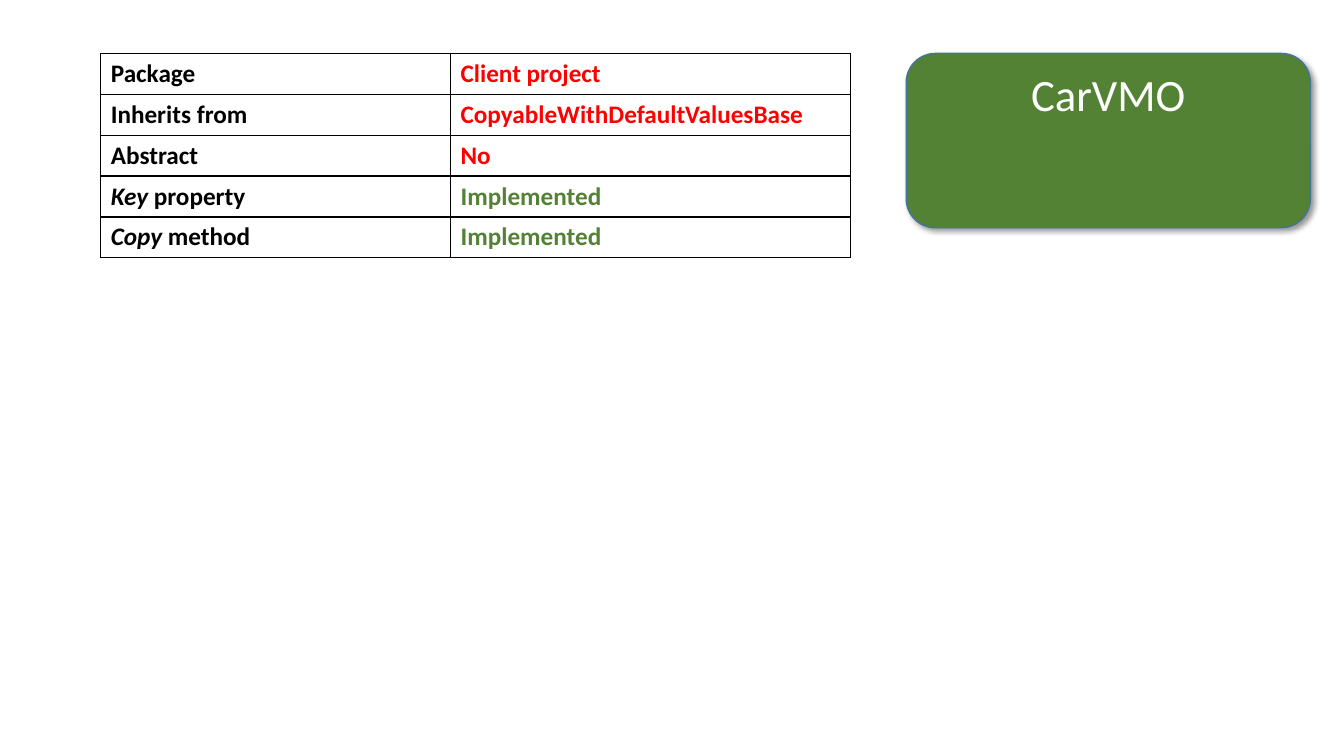
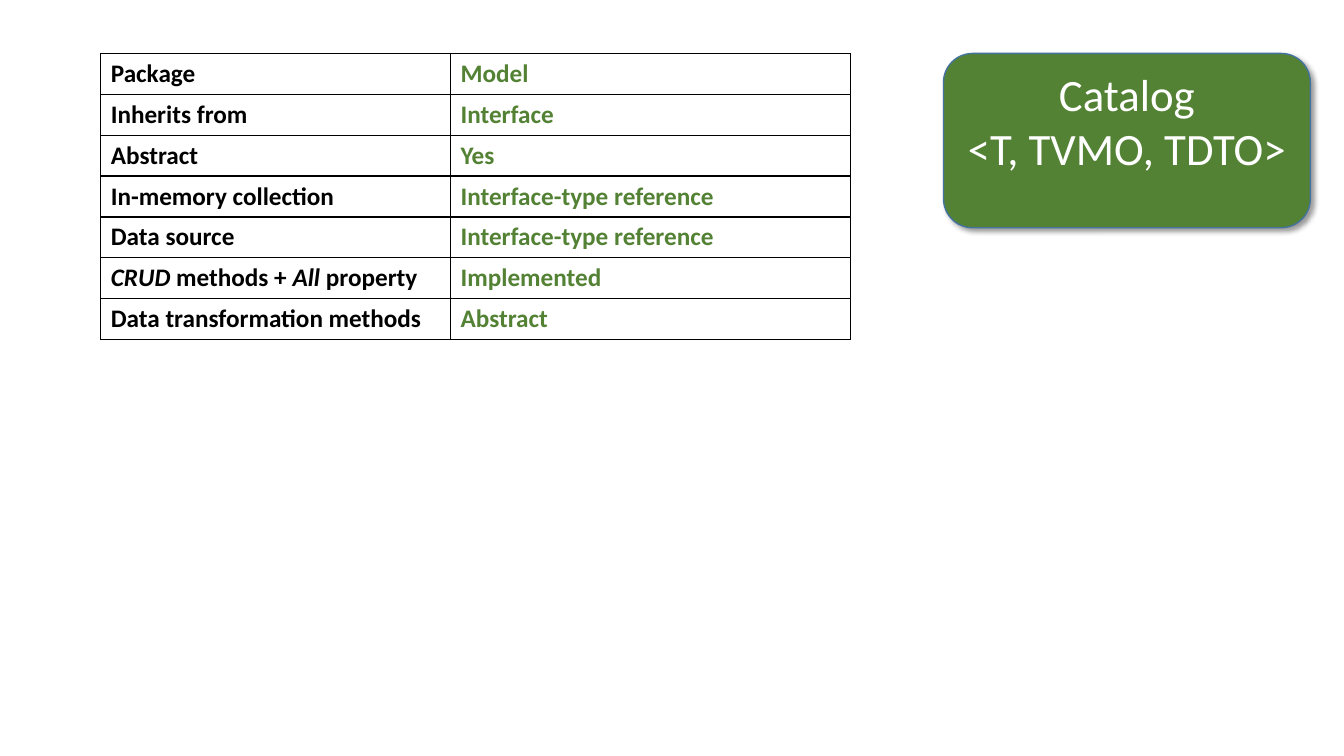
"""Build two slides that summarise the traits of a class beside its name card."""
from lxml.etree import SubElement
from pptx import Presentation
from pptx.dml.color import RGBColor
from pptx.enum.shapes import MSO_SHAPE as Preset
from pptx.enum.text import MSO_ANCHOR as Anchor, PP_ALIGN as Align
from pptx.oxml import parse_xml
from pptx.oxml.ns import nsdecls, qn
from pptx.util import Inches, Pt

GREEN, RED, BLACK, WHITE, EDGE = "548235", "FF0000", "000000", "FFFFFF", "43739E"


def rgb(value):
    return RGBColor.from_string(value)


class Deck:
    """Holds the shared style, the grid and the current slide."""

    font = "Calibri"
    columns = 40
    left, top, right = 3, 1.59, 39
    trait_widths = 10.41, 11.91
    card_height = 5.19
    row_height = Pt(29.2)

    def __init__(self):
        self.deck = Presentation()
        self.deck.slide_width = Inches(13.33)
        self.deck.slide_height = Inches(7.5)
        self.slide = None

    def grid(self, count):
        return round(self.deck.slide_width * count / self.columns)

    def new_slide(self):
        self.slide = self.deck.slides.add_slide(self.deck.slide_layouts[6])

    def set_text(self, paragraph, text, size, color, bold=False):
        paragraph.font.name = self.font
        paragraph.font.size = Pt(size)
        paragraph.font.bold = bold
        paragraph.font.color.rgb = rgb(color)
        for index, part in enumerate(text.split("*")):
            if part:
                run = paragraph.add_run()
                run.text = part
                if index % 2:
                    run.font.italic = True

    def card(self, lines, width):
        card = self.slide.shapes.add_shape(
            Preset.ROUNDED_RECTANGLE, self.grid(self.right - width), self.grid(self.top),
            self.grid(width), self.grid(self.card_height))
        card.fill.solid()
        card.fill.fore_color.rgb = rgb(GREEN)
        card.line.color.rgb = rgb(EDGE)
        card.line.width = Pt(1)
        self.cast_shadow(card)
        frame = card.text_frame
        frame.word_wrap = True
        frame.vertical_anchor = Anchor.TOP
        for index, line in enumerate(lines):
            paragraph = frame.add_paragraph() if index else frame.paragraphs[0]
            paragraph.alignment = Align.CENTER
            self.set_text(paragraph, line, 32, WHITE)

    def cast_shadow(self, card):
        card.shadow.inherit = False
        effects = card.element.spPr.find(qn("a:effectLst"))
        effects.append(parse_xml(
            f'<a:outerShdw {nsdecls("a")} blurRad="{Pt(4)}" dist="{Pt(3)}" dir="2700000" '
            f'algn="tl" rotWithShape="0"><a:srgbClr val="{BLACK}"><a:alpha val="40000"/>'
            '</a:srgbClr></a:outerShdw>'))

    def traits(self, rows):
        widths = [self.grid(width) for width in self.trait_widths]
        table = self.slide.shapes.add_table(
            len(rows), len(widths), self.grid(self.left), self.grid(self.top),
            sum(widths), self.row_height * len(rows)).table
        table.first_row = table.horz_banding = False
        for column, width in zip(table.columns, widths):
            column.width = width
        for row, (trait, value, color) in zip(table.rows, rows):
            for cell, text, ink in zip(row.cells, (trait, value), (BLACK, color)):
                self.border(cell)
                cell.fill.background()
                self.set_text(cell.text_frame.paragraphs[0], text, 18, ink, bold=True)

    def border(self, cell):
        properties = cell._tc.get_or_add_tcPr()
        for side in ("a:lnL", "a:lnR", "a:lnT", "a:lnB"):
            line = SubElement(properties, qn(side), w=str(Pt(1)))
            SubElement(SubElement(line, qn("a:solidFill")), qn("a:srgbClr"), val=BLACK)


def main():
    deck = Deck()

    deck.new_slide()
    deck.card(["CarVMO"], 12.03)
    deck.traits([
        ("Package", "Client project", RED),
        ("Inherits from", "CopyableWithDefaultValuesBase", RED),
        ("Abstract", "No", RED),
        ("*Key* property", "Implemented", GREEN),
        ("*Copy* method", "Implemented", GREEN),
    ])

    deck.new_slide()
    deck.card(["Catalog", "<T, TVMO, TDTO>"], 10.92)
    deck.traits([
        ("Package", "Model", GREEN),
        ("Inherits from", "Interface", GREEN),
        ("Abstract", "Yes", GREEN),
        ("In-memory collection", "Interface-type reference", GREEN),
        ("Data source", "Interface-type reference", GREEN),
        ("*CRUD* methods + *All* property", "Implemented", GREEN),
        ("Data transformation methods", "Abstract", GREEN),
    ])

    deck.deck.save("out.pptx")


if __name__ == "__main__":
    main()
